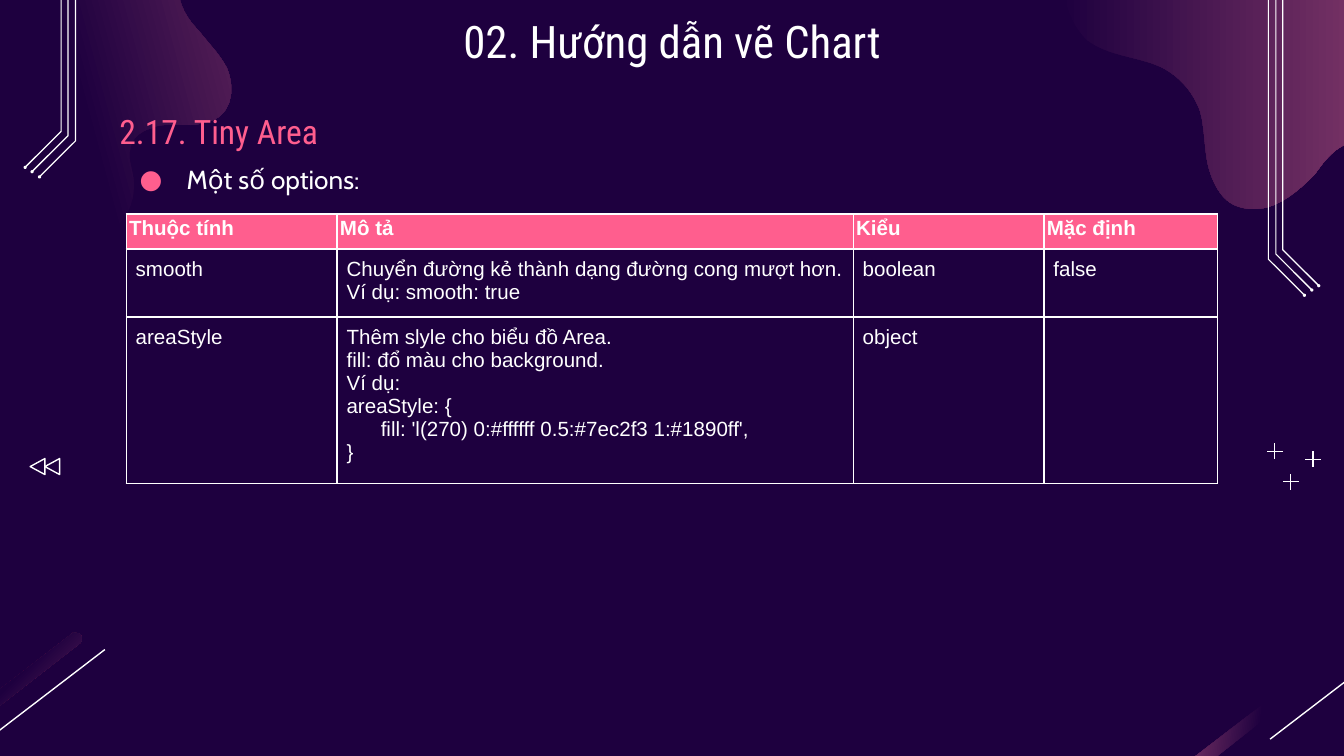
from dataclasses import dataclass
from math import cos, radians, sin

from lxml.etree import SubElement
from pptx import Presentation
from pptx.dml.color import RGBColor
from pptx.enum.shapes import MSO_CONNECTOR as Connector, MSO_SHAPE as Shape
from pptx.enum.text import MSO_ANCHOR as Anchor, PP_ALIGN as Align
from pptx.oxml import parse_xml
from pptx.oxml.ns import nsdecls, qn
from pptx.util import Pt

COLORS = {"night": "1E003F", "mauve": "A64D79", "pink": "FF5E8E", "white": "FFFFFF"}
HEADING_FONT, BODY_FONT, TABLE_FONT = "Roboto Condensed", "Cabin", "Arial"
GRID = 0.72  # points per unit of the curved outlines
WIDTH, HEIGHT = 720, 405

# Curved outlines: a start point, then three points for each Bezier curve
LEFT_BLOB = [
    (48, 190), (74, 183), (86, 169), (90, 165), (98, 156), (101, 143), (99, 131),
    (98, 124), (95, 117), (97, 111), (98, 102), (106, 97), (114, 95),
    (115, 94), (115, 94), (116, 94), (124, 92), (133, 93), (142, 93),
    (146, 93), (150, 92), (153, 91), (158, 90), (163, 88), (166, 84),
    (174, 75), (173, 61), (169, 51), (164, 41), (155, 32), (148, 23),
    (140, 15), (133, 4), (133, -7), (133, -16), (136, -25), (143, -31),
    (147, -35), (153, -38), (159, -39), (168, -42), (179, -42), (190, -41),
    (201, -41), (212, -40), (223, -42), (225, -43), (226, -43), (228, -43),
    (237, -46), (246, -51), (252, -58), (259, -66), (261, -78), (258, -87),
    (256, -105), (244, -125), (233, -134), (215, -150), (190, -155), (167, -151),
    (166, -150), (165, -150), (164, -150), (129, -140), (103, -110), (70, -95),
    (65, -93), (59, -91), (54, -90), (22, -81), (-13, -85), (-47, -82),
    (-62, -81), (-77, -78), (-91, -74), (-104, -71), (-116, -67), (-128, -61),
    (-145, -54), (-162, -44), (-174, -30), (-186, -17), (-195, 2), (-194, 22),
    (-193, 46), (-176, 68), (-156, 80), (-135, 93), (-112, 97), (-88, 99),
    (-74, 101), (-60, 101), (-46, 106), (-32, 110), (-19, 119), (-13, 133),
    (-8, 144), (-8, 155), (-3, 166), (6, 184), (29, 195), (48, 190),
]
RIGHT_BLOB = [
    (1125, 38), (1125, 13), (1118, -13), (1105, -35), (1094, -54), (1078, -70), (1058, -77),
    (1036, -85), (1012, -81), (989, -84), (967, -87), (945, -97), (929, -113),
    (918, -123), (909, -135), (897, -141), (883, -148), (867, -146), (852, -143),
    (840, -140), (828, -136), (819, -129), (803, -117), (796, -97), (793, -78),
    (790, -65), (789, -51), (789, -38), (789, -31), (789, -24), (790, -18),
    (791, 0), (796, 18), (809, 30), (825, 42), (847, 42), (864, 50),
    (878, 57), (888, 69), (893, 83), (896, 94), (896, 107), (898, 119),
    (900, 130), (905, 143), (914, 150), (924, 157), (938, 157), (949, 152),
    (960, 147), (969, 139), (978, 130), (983, 123), (988, 116), (995, 111),
    (1002, 106), (1010, 103), (1018, 106), (1033, 110), (1038, 130), (1052, 138),
    (1085, 157), (1108, 112), (1117, 88), (1122, 72), (1125, 55), (1125, 38),
]
BAR = [
    (56, 471), (57, 471), (59, 471), (60, 472), (61, 475), (61, 478), (59, 479),
    (59, 479), (-81, 588), (-81, 588), (-84, 589), (-87, 589), (-88, 587),
    (-90, 585), (-90, 582), (-87, 580), (-87, 580), (53, 472), (53, 472),
    (54, 471), (55, 470), (56, 471),
]
BAR_SHIFT = 954  # grid units between the two corner bars


@dataclass
class Blob:
    nodes: list[tuple[float, float]]
    rotation: float
    angle: float | None  # None fades from the top left corner
    dark_until: int = 50
    shift: float = 0


@dataclass
class Rail:
    x: float
    bend: float


@dataclass
class Corner:
    mirrored: bool
    drop: float


BLOBS = [Blob(LEFT_BLOB, 165, 180), Blob(RIGHT_BLOB, 90, 270, dark_until=0),
         Blob(BAR, 7.3, None), Blob(BAR, 7.3, 180, shift=BAR_SHIFT)]
RAILS = [Rail(686.9, 133.9), Rail(683.2, 136.2), Rail(679.2, 139)]
CORNERS = [Corner(False, 0), Corner(True, -63.4)]
RAIL_TOP, RAIL_RUN, STROKE, DOT = -85.7, 19.4, 0.6, 1.7
PLUS_CENTERS = [(691.5, 258.1), (703.4, 246), (683, 241.8)]
PLUS_ARM = 4.2

COLUMN_WIDTHS = [113, 276.5, 102.2, 92.9]
ROW_HEIGHTS = [18.8, 31, 31]
OPTIONS = [
    ["Thuộc tính", "Mô tả", "Kiểu", "Mặc định"],
    ["smooth", "Chuyển đường kẻ thành dạng đường cong mượt hơn.\nVí dụ: smooth: true",
     "boolean", "false"],
    ["areaStyle", "Thêm slyle cho biểu đồ Area.\nfill: đổ màu cho background.\nVí dụ:\n"
     "areaStyle: {\n      fill: 'l(270) 0:#ffffff 0.5:#7ec2f3 1:#1890ff',\n}", "object", ""],
]


def rgb(name: str) -> RGBColor:
    return RGBColor.from_string(COLORS[name])


def write(frame, text: str, *, font: str, size: float, color: str = "white",
          bold: bool = False, align=None, anchor=Anchor.TOP, inset: float = 7.2,
          spacing: float | None = None, after: float | None = None, bullet: str = "") -> None:
    frame.word_wrap = True
    frame.vertical_anchor = anchor
    frame.margin_left = frame.margin_right = Pt(inset)
    frame.margin_top = frame.margin_bottom = Pt(inset)
    for index, line in enumerate(text.split("\n")):
        paragraph = frame.add_paragraph() if index else frame.paragraphs[0]
        if bullet:
            props = paragraph._p.get_or_add_pPr()
            props.set("marL", str(Pt(36)))
            props.set("indent", str(Pt(-25.2)))
            SubElement(SubElement(props, qn("a:buClr")), qn("a:srgbClr"), val=COLORS["pink"])
            SubElement(props, qn("a:buSzPts"), val=str(size * 100))
            SubElement(props, qn("a:buFont"), typeface=font)
            SubElement(props, qn("a:buChar"), char=bullet)
        if align is not None:
            paragraph.alignment = align
        if spacing is not None:
            paragraph.line_spacing = spacing
        if after is not None:
            paragraph.space_after = Pt(after)
        run = paragraph.add_run()
        run.text = line
        run.font.name, run.font.size, run.font.bold = font, Pt(size), bold
        run.font.color.rgb = rgb(color)


def add_outline(shapes, points: list[tuple[float, float]]):
    corners = [(Pt(x), Pt(y)) for x, y in points]
    builder = shapes.build_freeform(*corners[0])
    builder.add_line_segments(corners[1:], close=True)
    outline = builder.convert_to_shape()
    outline.shadow.inherit = False
    outline.line.fill.background()
    outline.fill.solid()
    outline.fill.fore_color.rgb = rgb("white")
    return outline


def turn(x: float, y: float, degrees: float) -> tuple[float, float]:
    c, s = cos(radians(degrees)), sin(radians(degrees))
    return x * c - y * s, x * s + y * c


def add_blob(shapes, blob: Blob) -> None:
    points = [((x + blob.shift) * GRID, y * GRID) for x, y in blob.nodes]
    outline = add_outline(shapes, [turn(x, y, -blob.rotation) for x, y in points])
    center_x, center_y = turn(outline.left + outline.width / 2,
                              outline.top + outline.height / 2, blob.rotation)
    outline.left = round(center_x - outline.width / 2)
    outline.top = round(center_y - outline.height / 2)
    outline.rotation = blob.rotation

    # Join each three straight segments into one Bezier curve
    props = outline._element.spPr
    segments = list(props.iter(qn("a:lnTo")))
    for i in range(0, len(segments), 3):
        curve = parse_xml(f'<a:cubicBezTo {nsdecls("a")}/>')
        segments[i].addprevious(curve)
        for segment in segments[i:i + 3]:
            curve.append(segment[0])
            segment.getparent().remove(segment)

    # Fade from night to mauve
    stops = [(0, "night"), (100, "mauve")]
    if blob.dark_until:
        stops.insert(1, (blob.dark_until, "night"))
    stop_xml = "".join(f'<a:gs pos="{pos * 1000}"><a:srgbClr val="{COLORS[name]}"/></a:gs>'
                       for pos, name in stops)
    if blob.angle is None:
        course = '<a:path path="circle"><a:fillToRect r="100000" b="100000"/></a:path>'
    else:
        course = f'<a:lin ang="{blob.angle * 60000}" scaled="0"/>'
    solid = props.find(qn("a:solidFill"))
    solid.addprevious(parse_xml(f'<a:gradFill {nsdecls("a")} rotWithShape="1">'
                                f'<a:gsLst>{stop_xml}</a:gsLst>{course}</a:gradFill>'))
    props.remove(solid)


def add_rail(shapes, rail: Rail, corner: Corner) -> None:
    def place(x: float, y: float) -> tuple[float, float]:
        return (WIDTH - x if corner.mirrored else x), y + corner.drop

    x, bend = rail.x, rail.bend
    end_x, end_y = x + RAIL_RUN, bend + RAIL_RUN
    add_outline(shapes, [place(*point) for point in [
        (x, RAIL_TOP), (x + STROKE, RAIL_TOP), (x + STROKE, bend - 0.25),
        (end_x + 0.5, end_y - 0.5), (end_x, end_y), (x, bend)]])
    dot_x, dot_y = place(end_x + 0.2, end_y - 0.2)
    dot = shapes.add_shape(Shape.OVAL, Pt(dot_x - DOT / 2), Pt(dot_y - DOT / 2), Pt(DOT), Pt(DOT))
    dot.shadow.inherit = False
    dot.fill.solid()
    dot.fill.fore_color.rgb = rgb("white")
    dot.line.fill.background()


def add_plus(shapes, x: float, y: float) -> None:
    for half_w, half_h in [(PLUS_ARM, STROKE / 2), (STROKE / 2, PLUS_ARM)]:
        add_outline(shapes, [(x - half_w, y - half_h), (x + half_w, y - half_h),
                             (x + half_w, y + half_h), (x - half_w, y + half_h)])


def add_diagonal(shapes, shift: float) -> None:
    diagonal = shapes.add_connector(Connector.STRAIGHT, Pt(56.2 + shift), Pt(348),
                                    Pt(-6.5 + shift), Pt(396))
    diagonal.line.color.rgb, diagonal.line.width = rgb("white"), Pt(0.75)
    SubElement(diagonal._element.spPr, qn("a:effectLst"))


def add_rewind_arrow(shapes, left: float) -> None:
    arrow = shapes.add_shape(Shape.ISOSCELES_TRIANGLE, Pt(left), Pt(246), Pt(8.6), Pt(7.9))
    arrow.rotation = 270
    arrow.shadow.inherit = False
    arrow.fill.background()
    arrow.line.color.rgb, arrow.line.width = rgb("white"), Pt(0.75)


def add_options_table(shapes) -> None:
    table = shapes.add_table(len(OPTIONS), len(COLUMN_WIDTHS), Pt(67.7), Pt(114.6),
                             Pt(sum(COLUMN_WIDTHS)), Pt(sum(ROW_HEIGHTS))).table
    table.horz_banding = False
    for column, width in zip(table.columns, COLUMN_WIDTHS):
        column.width = Pt(width)
    for r, (row, height) in enumerate(zip(table.rows, ROW_HEIGHTS)):
        row.height = Pt(height)
        header = r == 0
        for cell, text in zip(row.cells, OPTIONS[r]):
            props = cell._tc.get_or_add_tcPr()
            for side in ("lnL", "lnR", "lnT", "lnB"):
                border = SubElement(props, qn(f"a:{side}"), w=str(Pt(1)))
                SubElement(SubElement(border, qn("a:solidFill")), qn("a:srgbClr"),
                           val=COLORS["white"])
            inset = 1.44 if header else 5
            cell.margin_left = cell.margin_right = cell.margin_top = cell.margin_bottom = Pt(inset)
            if header:
                cell.fill.solid()
                cell.fill.fore_color.rgb = rgb("pink")
            else:
                cell.fill.background()
            if text:
                write(cell.text_frame, text, font=TABLE_FONT, size=11, bold=header, inset=inset)


def main() -> None:
    deck = Presentation()
    deck.slide_width, deck.slide_height = Pt(WIDTH), Pt(HEIGHT)
    slide = deck.slides.add_slide(deck.slide_layouts[5])
    slide.background.fill.solid()
    slide.background.fill.fore_color.rgb = rgb("night")
    shapes = slide.shapes

    # Corner blobs, bars and diagonals
    for blob in BLOBS:
        add_blob(shapes, blob)
    for shift in (0, BAR_SHIFT * GRID):
        add_diagonal(shapes, shift)

    # Rails, plus signs and rewind arrows
    for corner in CORNERS:
        for rail in RAILS:
            add_rail(shapes, rail, corner)
    for center in PLUS_CENTERS:
        add_plus(shapes, *center)
    for left in (15.8, 23.7):
        add_rewind_arrow(shapes, left)

    # Headings
    title = shapes.title
    title.left, title.top, title.width, title.height = Pt(56.6), Pt(0), Pt(607), Pt(45.4)
    write(title.text_frame, "02. Hướng dẫn vẽ Chart", font=HEADING_FONT, size=24,
          align=Align.CENTER)
    intro = shapes.add_textbox(Pt(56.9), Pt(72), Pt(584.6), Pt(36))
    write(intro.text_frame, "Một số options:", font=BODY_FONT, size=14, spacing=1.5, bullet="●")
    section = shapes.add_textbox(Pt(56.9), Pt(55.8), Pt(505.4), Pt(32.4))
    write(section.text_frame, "2.17. Tiny Area", font=HEADING_FONT, size=18, color="pink",
          anchor=Anchor.BOTTOM, spacing=1.15, after=12)

    add_options_table(shapes)
    deck.save("out.pptx")


if __name__ == "__main__":
    main()
